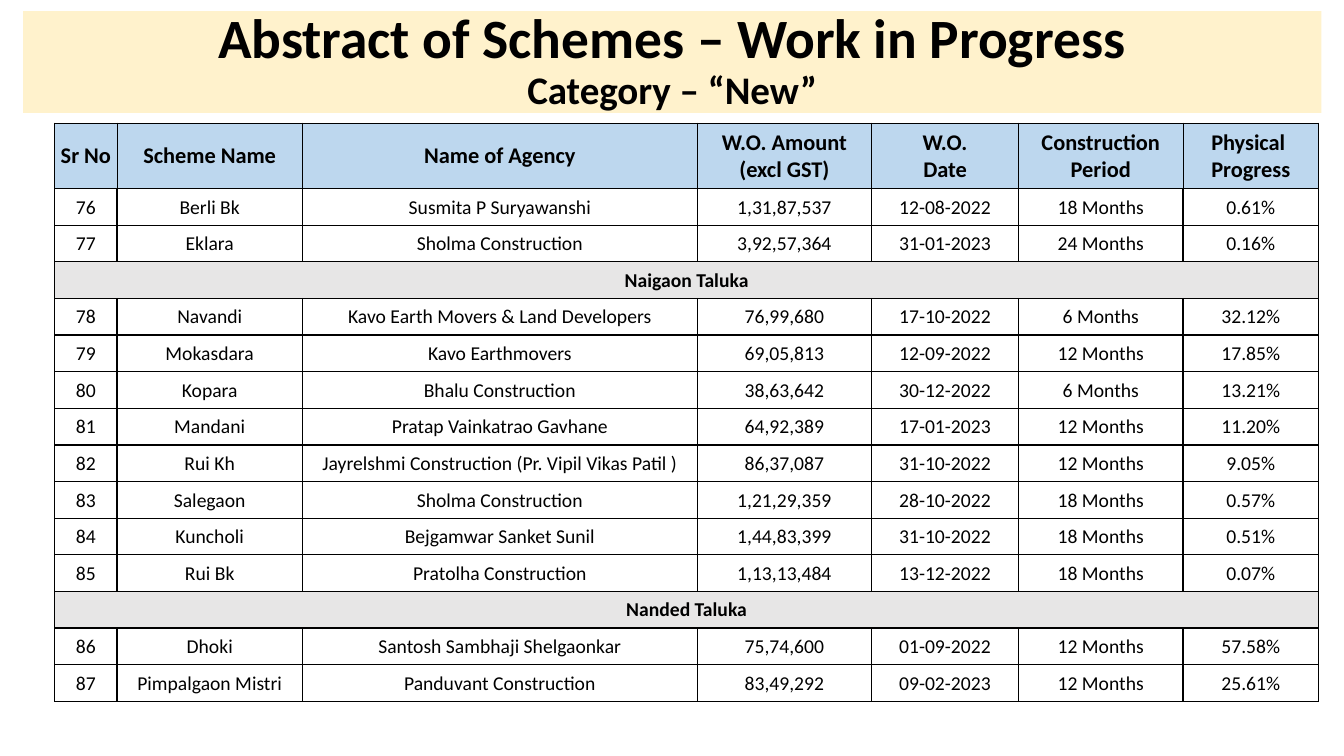
"""Build the work-in-progress schemes slide with its title band and tables."""
from lxml.etree import SubElement
from pptx import Presentation
from pptx.dml.color import RGBColor
from pptx.enum.shapes import MSO_SHAPE
from pptx.enum.text import MSO_ANCHOR, PP_ALIGN
from pptx.oxml.ns import qn
from pptx.util import Pt

BLACK = RGBColor(0x00, 0x00, 0x00)
CREAM = RGBColor(0xFF, 0xF2, 0xCC)
BLUE = RGBColor(0xBD, 0xD7, 0xEE)
GREY = RGBColor(0xE7, 0xE6, 0xE6)

LEFT, HEADER_TOP, HEADER_HEIGHT, ROW_HEIGHT = 39.1, 87.84, 46.8, 26.17
COLUMNS = [44.5, 132.5, 282, 124.5, 105, 117.5, 96.8]

HEADER = [["Sr No", "Scheme Name", "Name of Agency", "W.O. Amount\v(excl GST)",
           "W.O.\vDate", "Construction\vPeriod", "Physical \nProgress"]]
SCHEMES = [
    ["76", "Berli Bk", "Susmita P Suryawanshi", "1,31,87,537", "12-08-2022", "18 Months", "0.61%"],
    ["77", "Eklara", "Sholma Construction", "3,92,57,364", "31-01-2023", "24 Months", "0.16%"],
    ["Naigaon Taluka"],
    ["78", "Navandi", "Kavo Earth Movers & Land Developers", "76,99,680", "17-10-2022", "6 Months", "32.12%"],
    ["79", "Mokasdara", "Kavo Earthmovers", "69,05,813", "12-09-2022", "12 Months", "17.85%"],
    ["80", "Kopara", "Bhalu Construction", "38,63,642", "30-12-2022", "6 Months", "13.21%"],
    ["81", "Mandani", "Pratap Vainkatrao Gavhane", "64,92,389", "17-01-2023", "12 Months", "11.20%"],
    ["82", "Rui Kh", "Jayrelshmi Construction (Pr. Vipil Vikas Patil )", "86,37,087", "31-10-2022",
     "12 Months", "9.05%"],
    ["83", "Salegaon", "Sholma Construction", "1,21,29,359", "28-10-2022", "18 Months", "0.57%"],
    ["84", "Kuncholi", "Bejgamwar Sanket Sunil", "1,44,83,399", "31-10-2022", "18 Months", "0.51%"],
    ["85", "Rui Bk", "Pratolha Construction", "1,13,13,484", "13-12-2022", "18 Months", "0.07%"],
    ["Nanded Taluka"],
    ["86", "Dhoki", "Santosh Sambhaji Shelgaonkar", "75,74,600", "01-09-2022", "12 Months", "57.58%"],
    ["87", "Pimpalgaon Mistri", "Panduvant Construction", "83,49,292", "09-02-2023", "12 Months", "25.61%"],
]


def write(p, text, size=14, bold=False, color=BLACK, font="Calibri"):
    """Append centred text to a paragraph, breaking lines at vertical tabs."""
    p.alignment = PP_ALIGN.CENTER
    for i, line in enumerate(text.split("\v")):
        if i:
            p.add_line_break()
        r = p.add_run()
        r.text = line
        r.font.name, r.font.size, r.font.bold = font, Pt(size), bold
        r.font.color.rgb = color


class Deck:
    """Hold the current slide and draw its kinds of element."""

    def __init__(self, prs):
        self.slide = prs.slides.add_slide(prs.slide_layouts[6])
        self.inset = Pt(0.72)

    def title(self, x, y, w, h, lines):
        """Draw the title band from (text, size) lines."""
        sp = self.slide.shapes.add_shape(MSO_SHAPE.RECTANGLE, Pt(x), Pt(y), Pt(w), Pt(h))
        sp.shadow.inherit = False
        sp.fill.solid()
        sp.fill.fore_color.rgb = CREAM
        sp.line.fill.background()
        tf = sp.text_frame
        tf.word_wrap = True
        tf.vertical_anchor = MSO_ANCHOR.MIDDLE
        p = tf.paragraphs[0]
        p.line_spacing = 0.9
        for i, (text, size) in enumerate(lines):
            if i:
                p.add_line_break()
            write(p, text, size=size, bold=True)

    def border(self, cell, widths):
        """Draw black cell borders from a map of side to width."""
        tc_pr = cell._tc.get_or_add_tcPr()
        for side, width in widths.items():
            ln = SubElement(tc_pr, qn(f"a:ln{side}"), w=str(Pt(width)))
            fill = SubElement(ln, qn("a:solidFill"))
            SubElement(fill, qn("a:srgbClr"), val=str(BLACK))

    def cell(self, cell, text, fill=None, widths=None, **fmt):
        """Fill, frame and write one cell."""
        self.border(cell, widths)
        if fill is None:
            cell.fill.background()
        else:
            cell.fill.solid()
            cell.fill.fore_color.rgb = fill
        cell.margin_left = cell.margin_right = cell.margin_top = self.inset
        cell.margin_bottom = 0
        cell.vertical_anchor = MSO_ANCHOR.MIDDLE
        tf = cell.text_frame
        for i, part in enumerate(text.split("\n")):
            p = tf.add_paragraph() if i else tf.paragraphs[0]
            write(p, part, **fmt)

    def table(self, y, row_height, rows, line=1, **fmt):
        """Draw a table; a row of one value spans all columns."""
        n = len(COLUMNS)
        table = self.slide.shapes.add_table(len(rows), n, Pt(LEFT), Pt(y), Pt(sum(COLUMNS)),
                                            Pt(row_height * len(rows))).table
        table.first_row = table.horz_banding = False
        for column, width in zip(table.columns, COLUMNS):
            column.width = Pt(width)
        widths = {"L": line, "R": line, "T": line, "B": 1}
        for i, values in enumerate(rows):
            table.rows[i].height = Pt(row_height)
            if len(values) == 1:
                table.cell(i, 0).merge(table.cell(i, n - 1))
                self.cell(table.cell(i, 0), values[0], fill=GREY, widths=widths, bold=True)
                for j in range(1, n):
                    self.border(table.cell(i, j), widths)
                continue
            for j, text in enumerate(values):
                self.cell(table.cell(i, j), text, widths=widths, **fmt)


def main():
    """Build and save the slide."""
    prs = Presentation()
    prs.slide_width, prs.slide_height = Pt(960), Pt(540)
    deck = Deck(prs)
    deck.title(16.5, 8, 927.3, 72.7, [("Abstract of Schemes – Work in Progress", 39.6),
                                      ("Category – “New”", 27.9)])
    deck.table(HEADER_TOP, HEADER_HEIGHT, HEADER, line=0.5, fill=BLUE, size=16, bold=True)
    deck.table(HEADER_TOP + HEADER_HEIGHT, ROW_HEIGHT, SCHEMES)
    prs.save("out.pptx")


if __name__ == "__main__":
    main()
